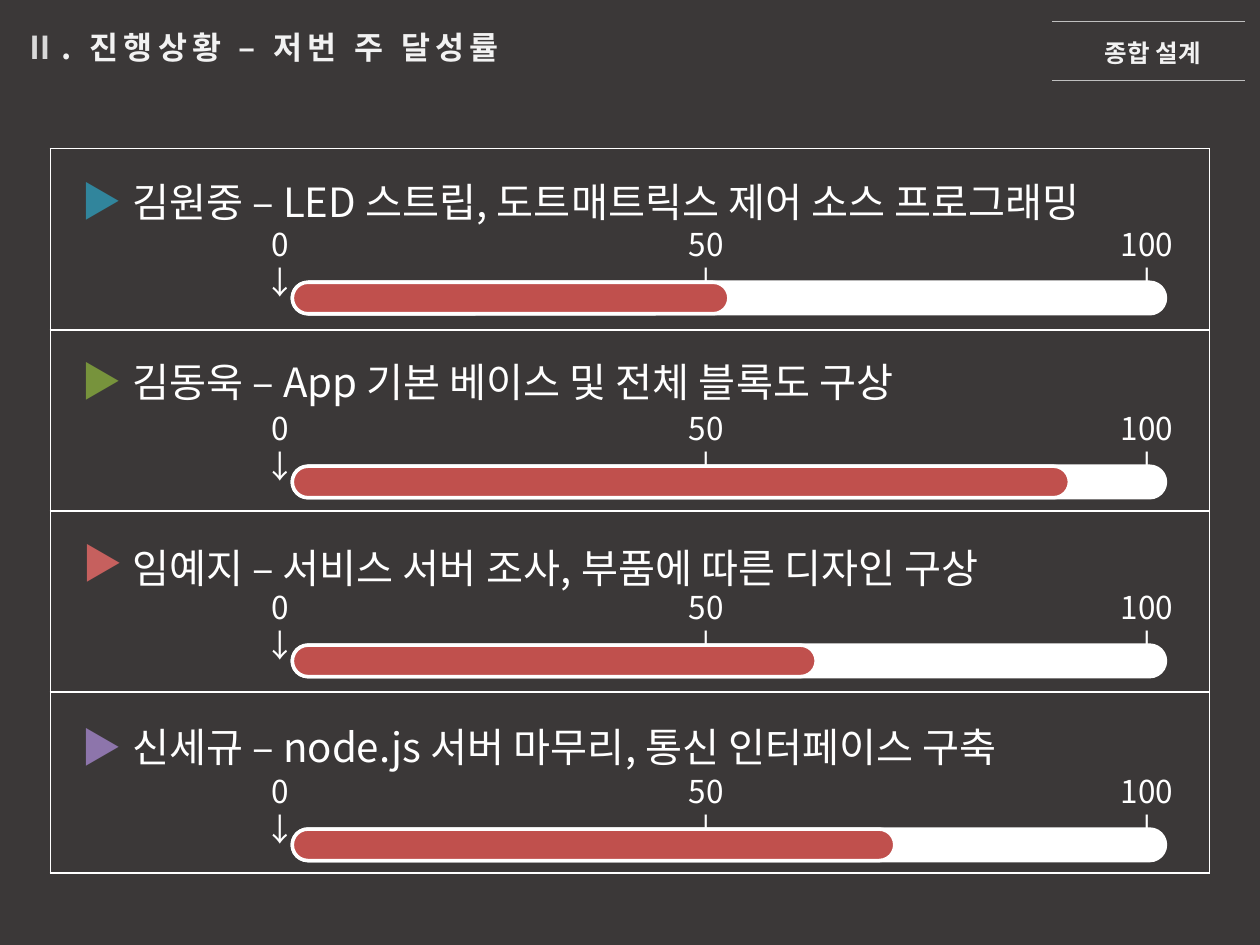
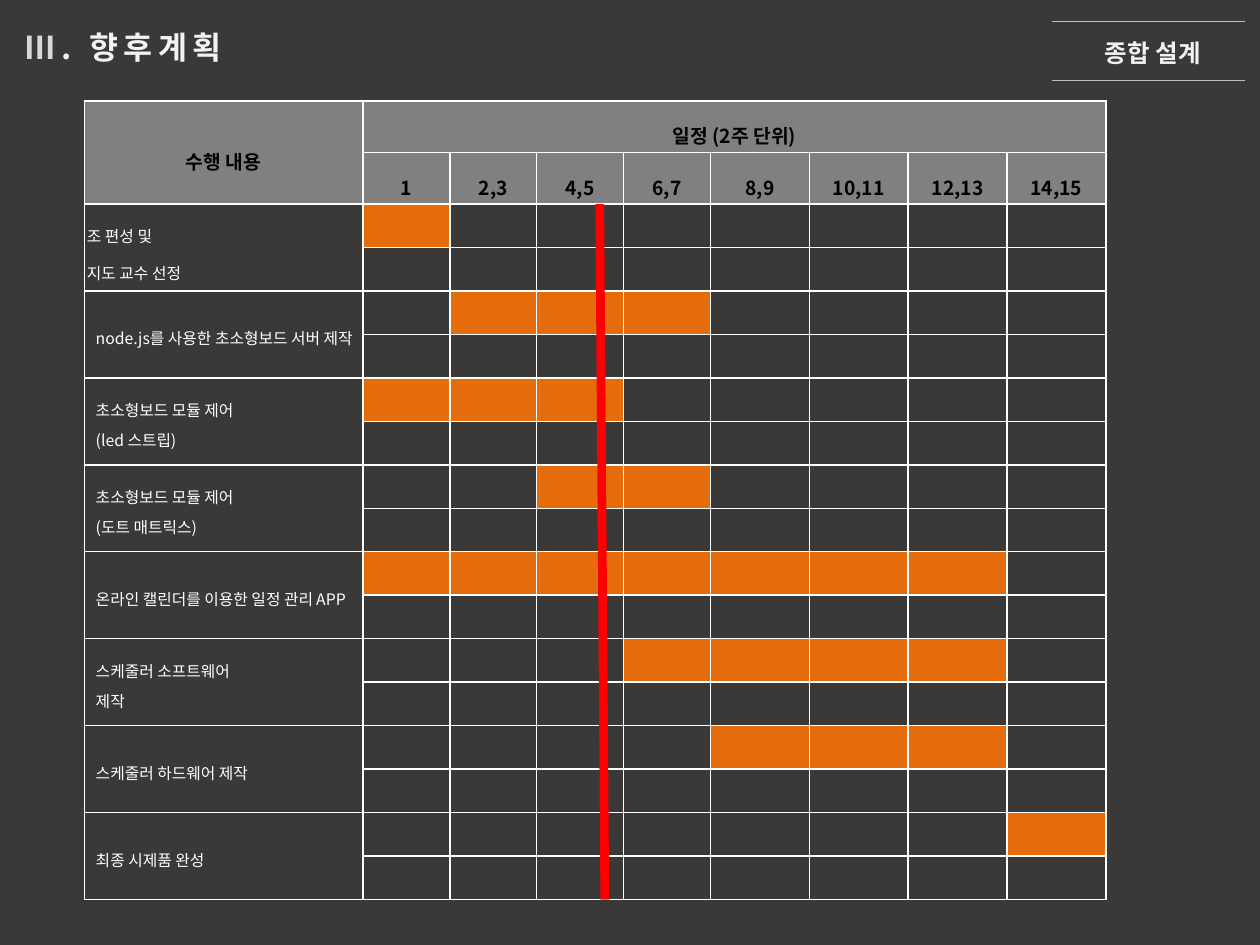
from dataclasses import dataclass
from typing import Any

from lxml import etree
from pptx import Presentation, util as u
from pptx.dml import color
from pptx.enum import shapes, text
from pptx.oxml import ns

FONT = "Noto Sans CJK KR"
COLORS = {
    "background": "3B3838",
    "white": "FFFFFF",
    "black": "000000",
    "numeral": "D9D9D9",
    "heading": "F2F2F2",
    "rule": "BFBFBF",
    "progress": "C0504D",
    "header": "808080",
    "scheduled": "E46C0A",
    "today": "FF0000",
    "teal": "31859C",
    "green": "77933C",
    "red": "C6605E",
    "purple": "8D75AB",
}


@dataclass(frozen=True)
class Style:
    size: float
    color: str = "white"
    bold: bool = False
    spacing: int = 0


@dataclass(frozen=True)
class Member:
    work: str
    marker_color: str
    marker_left: float
    marker_top: float
    work_top: float
    scale_top: float
    share: float


@dataclass(frozen=True)
class Task:
    lines: tuple[str, ...]
    first: int
    last: int
    indent: float = 0.09
    line_spacing: float = 1.3


MEMBERS = (
    Member("김원중 – LED 스트립, 도트매트릭스 제어 소스 프로그래밍", "teal", 0.55, 1.35, 1.36, 1.74, 0.5),
    Member("김동욱 – App 기본 베이스 및 전체 블록도 구상", "green", 0.55, 2.78, 2.79, 3.2, 0.89),
    Member("임예지 – 서비스 서버 조사, 부품에 따른 디자인 구상", "red", 0.56, 4.22, 4.26, 4.62, 0.6),
    Member("신세규 – node.js 서버 마무리, 통신 인터페이스 구축", "purple", 0.55, 5.68, 5.68, 6.08, 0.69),
)
SCALE = (("0", 1.84), ("50", 5.22), ("100", 8.72))
WEEKS = ("1", "2,3", "4,5", "6,7", "8,9", "10,11", "12,13", "14,15")
TASKS = (
    Task(("조 편성 및", "지도 교수 선정"), 1, 1, 0.02, 1.6),
    Task(("node.js를 사용한 초소형보드 서버 제작",), 2, 4),
    Task(("초소형보드 모듈 제어", "(led 스트립)"), 1, 3),
    Task(("초소형보드 모듈 제어", "(도트 매트릭스)"), 3, 4),
    Task(("온라인 캘린더를 이용한 일정 관리 APP",), 1, 7),
    Task(("스케줄러 소프트웨어", "제작"), 4, 7),
    Task(("스케줄러 하드웨어 제작",), 5, 7),
    Task(("최종 시제품 완성",), 8, 8),
)

NUMERAL = Style(18, "numeral", True, 300)
TITLE = Style(18, "heading", True, 300)
COURSE = Style(14, "heading", True)
WORK = Style(23)
SCALE_LABEL = Style(18)
TABLE_HEADER = Style(11, "black", True)
TASK_NAME = Style(9)


def rgb(name: str) -> color.RGBColor:
    return color.RGBColor.from_string(COLORS[name])


def apply(target: Any, formats: dict[str, Any]) -> None:
    for attribute, value in formats.items():
        setattr(target, attribute, value)


def add_run(paragraph: Any, words: str, style: Style) -> None:
    run = paragraph.add_run()
    run.text = words
    apply(run.font, {"name": FONT, "size": u.Pt(style.size), "bold": style.bold})
    run.font.color.rgb = rgb(style.color)
    properties = run.font._element
    if style.spacing:
        properties.set("spc", str(style.spacing))
    etree.SubElement(properties, ns.qn("a:ea")).set("typeface", FONT)


def add_text(slide: Any, left: float, top: float, width: float, height: float,
             lines: tuple[tuple[tuple[str, Style], ...], ...],
             align: Any = text.PP_ALIGN.LEFT, **frame_formats: Any) -> None:
    frame = slide.shapes.add_textbox(*map(u.Inches, (left, top, width, height))).text_frame
    apply(frame, {"word_wrap": True, "auto_size": text.MSO_AUTO_SIZE.SHAPE_TO_FIT_TEXT} | frame_formats)
    for index, runs in enumerate(lines):
        paragraph = frame.add_paragraph() if index else frame.paragraphs[0]
        paragraph.alignment = align
        for words, style in runs:
            add_run(paragraph, words, style)


def add_line(slide: Any, start: tuple[float, float], end: tuple[float, float],
             line_color: str, width: float) -> None:
    line = slide.shapes.add_connector(shapes.MSO_CONNECTOR.STRAIGHT, *map(u.Inches, start + end))
    line.line.color.rgb = rgb(line_color)
    line.line.width = u.Pt(width)
    etree.SubElement(line._element.spPr, ns.qn("a:effectLst"))


def add_bar(slide: Any, top: float, width: float, fill: str) -> None:
    bar = slide.shapes.add_shape(shapes.MSO_SHAPE.ROUNDED_RECTANGLE,
                                 *map(u.Inches, (2.32, top, width, 0.25)))
    bar.adjustments[0] = 0.5
    bar.shadow.inherit = False
    bar.fill.solid()
    bar.fill.fore_color.rgb = rgb(fill)
    bar.line.color.rgb = rgb("white")
    bar.line.width = u.Pt(2)


def add_grid(slide: Any, rows: int, columns: int, left: float, top: float,
             width: float, height: float) -> Any:
    grid = slide.shapes.add_table(rows, columns, *map(u.Inches, (left, top, width, height))).table
    apply(grid, {"first_row": False, "horz_banding": False})
    for cell in grid.iter_cells():
        margins = ("margin_left", "margin_right", "margin_top", "margin_bottom")
        apply(cell, dict.fromkeys(margins, u.Inches(0.02)))
        cell.vertical_anchor = text.MSO_ANCHOR.MIDDLE
        cell.fill.background()
        add_borders(cell)
        ending = etree.SubElement(cell.text_frame.paragraphs[0]._p, ns.qn("a:endParaRPr"))
        ending.set("sz", "900")
    return grid


def add_borders(cell: Any) -> None:
    properties = cell._tc.get_or_add_tcPr()
    for index, side in enumerate(("lnL", "lnR", "lnT", "lnB")):
        border = etree.Element(ns.qn(f"a:{side}"), w=str(u.Pt(1)))
        solid = etree.SubElement(border, ns.qn("a:solidFill"))
        etree.SubElement(solid, ns.qn("a:srgbClr")).set("val", COLORS["white"])
        properties.insert(index, border)


def fill_cell(cell: Any, fill: str) -> None:
    cell.fill.solid()
    cell.fill.fore_color.rgb = rgb(fill)


def write_cell(cell: Any, lines: tuple[str, ...], style: Style, align: Any, spacing: float) -> None:
    for index, words in enumerate(lines):
        paragraph = cell.text_frame.add_paragraph() if index else cell.text_frame.paragraphs[0]
        apply(paragraph, {"alignment": align, "line_spacing": spacing})
        add_run(paragraph, words, style)


def write_header(cell: Any, words: str) -> None:
    fill_cell(cell, "header")
    write_cell(cell, (words,), TABLE_HEADER, text.PP_ALIGN.CENTER, 1.6)


def start_slide(deck: Any, numeral: str, title: str) -> Any:
    slide = deck.slides.add_slide(deck.slide_layouts[6])
    slide.background.fill.solid()
    slide.background.fill.fore_color.rgb = rgb("background")
    add_text(slide, 8.6, 0.25, 1.03, 0.34, ((("종합 설계", COURSE),),),
             text.PP_ALIGN.RIGHT, word_wrap=False)
    for height in (0.17, 0.64):
        add_line(slide, (8.35, height), (9.88, height), "rule", 0.75)
    add_text(slide, 0.1, 0.17, 5.1, 0.4, (((numeral, NUMERAL), (title, TITLE)),))
    return slide


def build_progress(deck: Any) -> None:
    slide = start_slide(deck, "Ⅱ", ". 진행상황 – 저번 주 달성률")
    add_grid(slide, len(MEMBERS), 1, 0.4, 1.18, 9.2, 5.75)
    for member in MEMBERS:
        add_text(slide, 0.95, member.work_top, 8.49, 0.49, (((member.work, WORK),),))
        add_text(slide, member.marker_left, member.marker_top, 0.79, 0.49,
                 ((("▶", Style(23, member.marker_color)),),))
        for label, left in SCALE:
            add_text(slide, left, member.scale_top, 1.05, 1.01,
                     (((label, SCALE_LABEL),), (("↓", SCALE_LABEL),)),
                     text.PP_ALIGN.CENTER, margin_right=u.Inches(0.38))
        for share, fill in ((1, "white"), (member.share, "progress")):
            add_bar(slide, member.scale_top + 0.5, 6.93 * share, fill)


def build_plan(deck: Any) -> None:
    slide = start_slide(deck, "Ⅲ", ". 향후계획")
    schedule = add_grid(slide, 2 + 2 * len(TASKS), 1 + len(WEEKS), 0.67, 0.8, 8.11, 6.34)
    widths = [2.21] + [0.69] * 4 + [(8.11 - 2.21 - 4 * 0.69) / 4] * 4
    heights = [0.41] * 2 + [(6.34 - 2 * 0.41) / 16] * 16
    for column, width in zip(schedule.columns, widths):
        column.width = u.Inches(width)
    for row, height in zip(schedule.rows, heights):
        row.height = u.Inches(height)

    schedule.cell(0, 0).merge(schedule.cell(1, 0))
    schedule.cell(0, 1).merge(schedule.cell(0, len(WEEKS)))
    write_header(schedule.cell(0, 0), "수행 내용")
    write_header(schedule.cell(0, 1), "일정 (2주 단위)")
    for column, week in enumerate(WEEKS, 1):
        write_header(schedule.cell(1, column), week)

    for index, task in enumerate(TASKS):
        row = 2 + 2 * index
        name = schedule.cell(row, 0)
        name.merge(schedule.cell(row + 1, 0))
        name.margin_left = u.Inches(task.indent)
        write_cell(name, task.lines, TASK_NAME, text.PP_ALIGN.JUSTIFY, task.line_spacing)
        for column in range(task.first, task.last + 1):
            fill_cell(schedule.cell(row, column), "scheduled")
    add_line(slide, (4.76, 1.62), (4.8, 7.14), "today", 5)


def main() -> None:
    deck = Presentation()
    apply(deck, {"slide_width": u.Inches(10), "slide_height": u.Inches(7.5)})
    build_progress(deck)
    build_plan(deck)
    deck.save("out.pptx")


if __name__ == "__main__":
    main()
